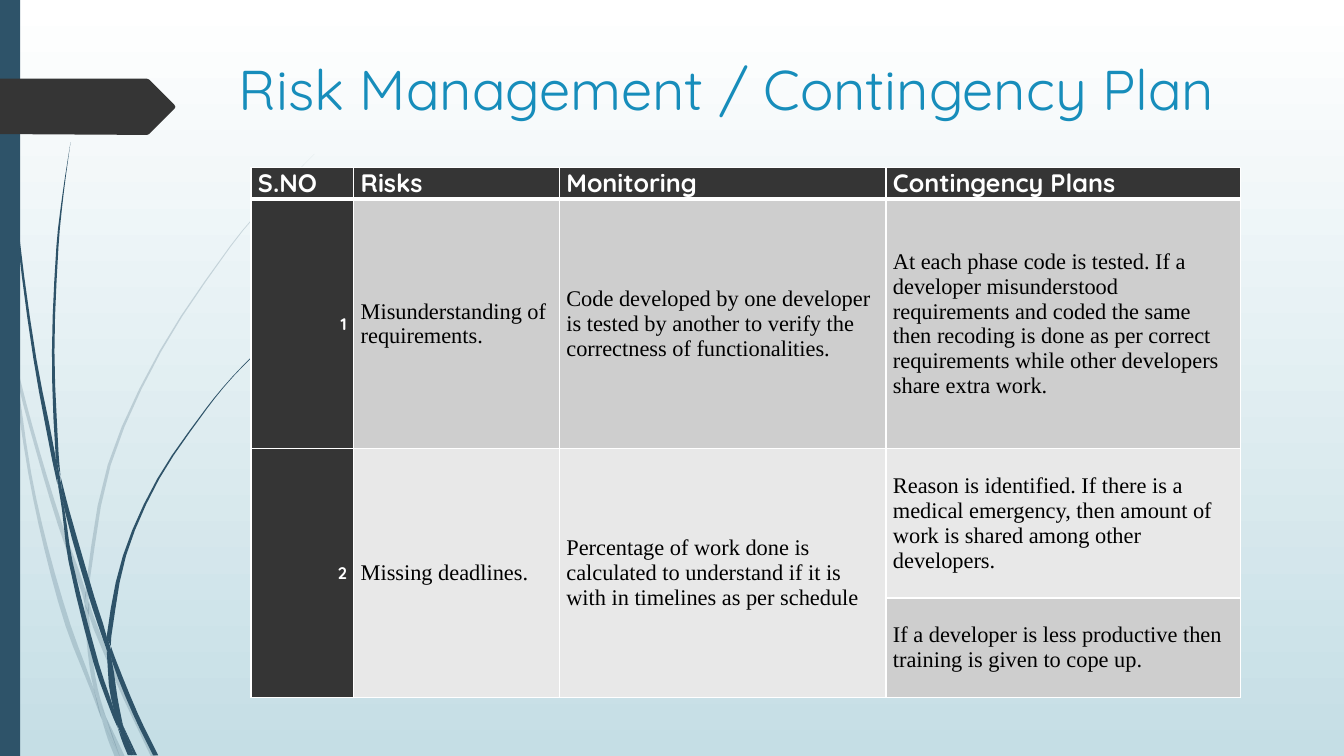
from dataclasses import dataclass

from lxml.etree import SubElement
from pptx import Presentation
from pptx.dml.color import RGBColor
from pptx.enum.shapes import MSO_SHAPE
from pptx.enum.text import MSO_ANCHOR, PP_ALIGN
from pptx.oxml.ns import qn
from pptx.util import Pt

NAVY, CHARCOAL, WHITE, BLACK = "2E5369", "353535", "FFFFFF", "000000"
GREY, PALE_GREY = "CECECE", "E8E8E8"
STEPS = 3  # curve samples between two knots


@dataclass
class Blade:
    """A piece of grass: knots of (y, left edge x, right edge x), in points."""
    knots: list[tuple[float, float, float]]
    opacity: int = 100


@dataclass
class Entry:
    """A table cell's content and look."""
    row: int
    col: int
    text: str
    fill: str
    style: str = "body"


def rgb(value: str) -> RGBColor:
    return RGBColor.from_string(value)


def apply(target, values: dict) -> None:
    for name, value in values.items():
        setattr(target, name, value)


def paint(shape, color: str, opacity: int = 100) -> None:
    shape.shadow.inherit = False
    shape.line.fill.background()
    shape.fill.solid()
    shape.fill.fore_color.rgb = rgb(color)
    if opacity < 100:
        color_node = shape.fill._xPr.find(qn("a:solidFill"))[0]
        SubElement(color_node, qn("a:alpha"), val=str(opacity * 1000))


def draw_outline(shapes, points: list[tuple[float, float]], color: str, opacity: int = 100) -> None:
    start, *rest = [(Pt(x), Pt(y)) for x, y in points]
    builder = shapes.build_freeform(*start, scale=1.0)
    builder.add_line_segments(rest, close=True)
    paint(builder.convert_to_shape(), color, opacity)


def smooth_edge(ys: list[float], xs: list[float]) -> list[tuple[float, float]]:
    """Hermite curve through the knots, with slopes taken from their neighbours."""
    last = len(ys) - 1
    slopes = []
    for i in range(last + 1):
        before, after = max(i - 1, 0), min(i + 1, last)
        slopes.append((xs[after] - xs[before]) / (ys[after] - ys[before]))
    points = []
    for i in range(last):
        gap = ys[i + 1] - ys[i]
        for t in (step / STEPS for step in range(STEPS)):
            x = ((2 * t**3 - 3 * t**2 + 1) * xs[i] + (t**3 - 2 * t**2 + t) * gap * slopes[i]
                 + (3 * t**2 - 2 * t**3) * xs[i + 1] + (t**3 - t**2) * gap * slopes[i + 1])
            points.append((x, ys[i] + t * gap))
    return points + [(xs[-1], ys[-1])]


def draw_blade(shapes, blade: Blade) -> None:
    ys, lefts, rights = (list(values) for values in zip(*blade.knots))
    outline = smooth_edge(ys, lefts) + smooth_edge(ys, rights)[::-1]
    draw_outline(shapes, outline, NAVY, blade.opacity)


def set_borders(cell, widths: dict[str, float]) -> None:
    properties = cell._tc.get_or_add_tcPr()
    for side, width in widths.items():
        border = SubElement(properties, qn(f"a:{side}"), w=str(Pt(width)))
        SubElement(SubElement(border, qn("a:solidFill")), qn("a:srgbClr"), val=WHITE)


STYLES = {
    "header": (dict(name="Quicksand", size=Pt(18), bold=True), WHITE, PP_ALIGN.LEFT),
    "number": (dict(name="Quicksand", size=Pt(12), bold=True), WHITE, PP_ALIGN.RIGHT),
    "body": (dict(name="Times New Roman", size=Pt(16), bold=False), BLACK, PP_ALIGN.LEFT),
}


def write_entry(table, entry: Entry) -> None:
    font_values, color, alignment = STYLES[entry.style]
    cell = table.cell(entry.row, entry.col)
    cell.text = entry.text
    paragraph = cell.text_frame.paragraphs[0]
    paragraph.alignment = alignment
    font = paragraph.runs[0].font
    apply(font, font_values)
    font.color.rgb = rgb(color)
    cell.fill.solid()
    cell.fill.fore_color.rgb = rgb(entry.fill)


presentation = Presentation()
apply(presentation, dict(slide_width=Pt(960), slide_height=Pt(540)))
slide = presentation.slides.add_slide(presentation.slide_layouts[5])

# Background
backdrop = slide.background.fill
backdrop.gradient()
backdrop.gradient_angle = 270
for stop, color in zip(backdrop.gradient_stops, (WHITE, "C5DEE5")):
    stop.color.rgb = rgb(color)

# Grass, faint pieces behind
FAINT = [
    [(203, 0, 0), (215.3, 0, 2.9), (232, 4.5, 6.5), (252, 7.9, 7.9)],
    [(248.4, 10.1, 10.1), (270.7, 12.2, 14.4), (323, 26, 28.5), (375, 41.4, 44.6),
     (422, 58, 61.2), (431.3, 60.5, 60.5)],
    [(429, 63.4, 63.4), (439, 63.4, 66.5), (470, 75.6, 78.8), (499, 88.2, 91.8),
     (540.7, 108, 111.6)],
    [(512, 75.6, 75.6), (526, 80, 82.4), (540.7, 85.7, 89.3)],
    [(252, 7.9, 7.9), (271, 10, 12.2), (338, 20.2, 22.3), (392, 31.6, 34.5),
     (447, 46.8, 50.6), (492, 64.4, 67), (514, 72.7, 72.7)],
    [(431.3, 60.5, 60.5), (438, 60.6, 63.4), (465, 62.6, 65.5), (492, 67, 69.8),
     (512, 75.6, 75.6)],
    [(110, 224.6, 224.6), (142, 193, 193.6), (176, 164.2, 165), (251, 113.8, 115.2),
     (332, 77, 79.2), (420, 61.2, 63.4), (429, 63.4, 63.4)],
    [(514, 72.7, 72.7), (528, 77, 79.5), (540.7, 82, 85.7)],
    [(422, 61.2, 61.2), (431, 60.5, 63.4), (439, 63.4, 63.4)],
    [(492, 67, 67), (498, 68.4, 69), (512, 72.1, 75.6), (540.7, 85.7, 85.7)],
]
SOLID = [
    [(0, 2.2, 2.9), (79, 5, 5.8), (168, 12.2, 13.7), (256, 23.8, 25.9), (326, 36.7, 39.6),
     (346, 41, 41)],
    [(340, 43.2, 43.2), (364, 46.1, 49.3), (426, 63.4, 67.3), (455, 73, 76.3),
     (464.4, 76.3, 76.3)],
    [(461.5, 79.2, 79.2), (472, 79.9, 83), (510, 95, 98.6), (539.5, 109.4, 113)],
    [(343.5, 41, 41), (364, 44.3, 46.1), (401, 49, 51.8), (474, 67, 70.6),
     (510, 79.9, 82.5), (520, 84.2, 84.2)],
    [(101.5, 50.4, 50.4), (139, 44.6, 45.4), (176, 40.3, 41.8), (251, 37.1, 38.9),
     (323, 39.6, 41.8), (340, 43.2, 43.2)],
    [(518, 87.8, 87.8), (528, 91.4, 92.5), (539.5, 95.7, 97.9)],
    [(323, 39.6, 39.6), (343, 41, 43.2), (364, 46.1, 46.1)],
    [(247.5, 187.2, 187.9), (269, 166, 166.6), (292, 146.9, 147.8), (342, 112.3, 113.8),
     (397, 87.8, 90), (454, 76.3, 79.6), (461.5, 79.2, 79.2)],
    [(520, 84.2, 84.2), (530, 87.5, 89.5), (539.5, 91.4, 94.3)],
    [(464.4, 76.3, 76.3), (472, 76.7, 79.9), (498, 79.2, 83.9), (518, 87.8, 87.8)],
    [(454, 76.3, 76.3), (464, 76.3, 79.2), (472, 79.9, 79.9)],
    [(498, 79.2, 79.2), (508, 81.5, 83.5), (518, 83.8, 87.8), (539.5, 93.6, 95.7)],
]
for blade in [Blade(knots, 20) for knots in FAINT] + [Blade(knots) for knots in SOLID]:
    draw_blade(slide.shapes, blade)

# Side bar and arrow tag
side_bar = slide.shapes.add_shape(MSO_SHAPE.RECTANGLE, 0, 0, Pt(14.4), Pt(540))
paint(side_bar, NAVY)
draw_outline(slide.shapes, [(0, 56.2), (105, 56.2), (106.6, 56.9), (124.6, 74.9), (125.3, 76.3),
                            (124.6, 77.8), (106.6, 95.8), (105, 96.4), (0, 95.8)], CHARCOAL)

# Title
title = slide.shapes.title
apply(title, dict(left=Pt(163.5), top=Pt(35.3), width=Pt(778.3), height=Pt(101.5)))
apply(title.text_frame, dict(text="Risk Management / Contingency Plan",
                             vertical_anchor=MSO_ANCHOR.TOP, word_wrap=True))
heading = title.text_frame.paragraphs[0]
heading.alignment = PP_ALIGN.LEFT
apply(heading.runs[0].font, dict(name="Quicksand", size=Pt(40), bold=False))
heading.runs[0].font.color.rgb = rgb("178DBB")

# Risk table
COLUMN_WIDTHS = (73.4, 146.9, 233.3, 253.4)
ROW_HEIGHTS = (19.5, 178.5, 106.5, 71.3)
risks = slide.shapes.add_table(len(ROW_HEIGHTS), len(COLUMN_WIDTHS), Pt(179.3), Pt(119.5),
                               Pt(sum(COLUMN_WIDTHS)), Pt(378)).table
apply(risks, dict(first_row=False, horz_banding=False))
for column, width in zip(risks.columns, COLUMN_WIDTHS):
    column.width = Pt(width)
for row_index, height in enumerate(ROW_HEIGHTS):
    risks.rows[row_index].height = Pt(height)
    for cell in risks.rows[row_index].cells:
        apply(cell, dict(margin_left=Pt(5), margin_right=Pt(5), margin_top=0, margin_bottom=0,
                         vertical_anchor=MSO_ANCHOR.MIDDLE))
        set_borders(cell, dict(lnL=1, lnR=1, lnT=1, lnB=3 if row_index == 0 else 1))
for col in range(3):
    risks.cell(2, col).merge(risks.cell(3, col))

HEADERS = ("S.NO", "Risks", "Monitoring", "Contingency Plans")
ENTRIES = [Entry(0, col, text, CHARCOAL, "header") for col, text in enumerate(HEADERS)] + [
    Entry(1, 0, "1", CHARCOAL, "number"),
    Entry(1, 1, "Misunderstanding of requirements.", GREY),
    Entry(1, 2, "Code developed by one developer is tested by another to verify the "
                "correctness of functionalities.", GREY),
    Entry(1, 3, "At each phase code is tested. If a developer misunderstood requirements and "
                "coded the same then recoding is done as per correct requirements while other "
                "developers share extra work.", GREY),
    Entry(2, 0, "2", CHARCOAL, "number"),
    Entry(2, 1, "Missing deadlines.", PALE_GREY),
    Entry(2, 2, "Percentage of work done is calculated to understand if it is with in "
                "timelines as per schedule", PALE_GREY),
    Entry(2, 3, "Reason is identified. If there is a medical emergency, then amount of work "
                "is shared among other developers.", PALE_GREY),
    Entry(3, 3, "If a developer is less productive then training is given to cope up.", GREY),
]
for entry in ENTRIES:
    write_entry(risks, entry)

presentation.save("out.pptx")
